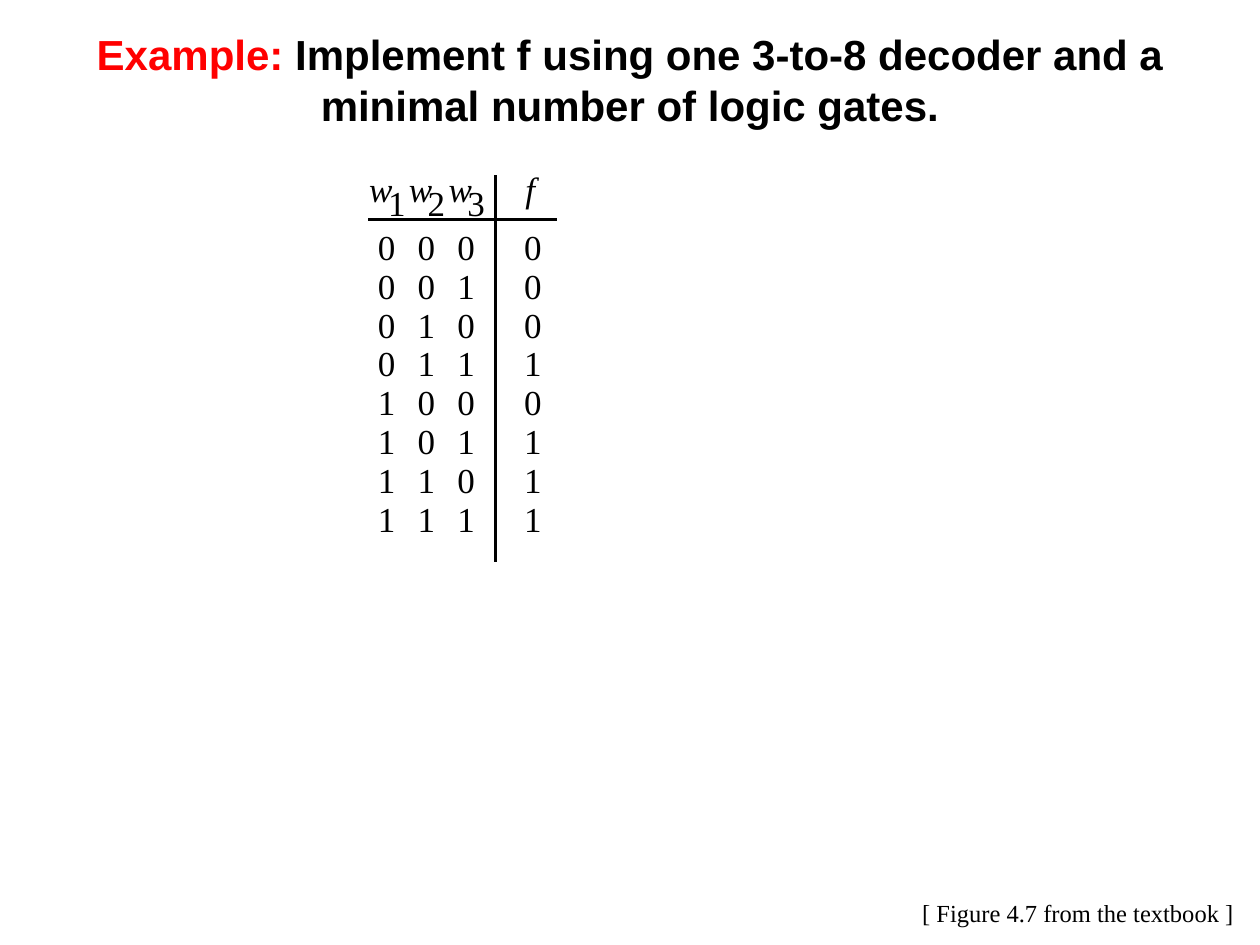
from itertools import product

from lxml import etree
from pptx import Presentation
from pptx.dml.color import RGBColor
from pptx.enum.shapes import MSO_CONNECTOR
from pptx.enum.text import MSO_ANCHOR, MSO_AUTO_SIZE, PP_ALIGN
from pptx.oxml.ns import qn
from pptx.util import Inches, Pt

COLORS = {"text": "000000", "accent": "FF0000"}
TITLE_FONT = "Arial"
BODY_FONT = "Times New Roman"


def format_run(run, font_name, size, color="text", bold=False, italic=False):
    run.font.name = font_name
    run.font.size = Pt(size)
    run.font.bold = bold
    run.font.italic = italic
    run.font.color.rgb = RGBColor.from_string(COLORS[color])


def add_label(slide, text, left, top, width, height, size, inset=0, italic=False):
    shape = slide.shapes.add_textbox(
        Inches(left), Inches(top), Inches(width), Inches(height)
    )
    text_frame = shape.text_frame
    text_frame.word_wrap = False
    text_frame.auto_size = MSO_AUTO_SIZE.SHAPE_TO_FIT_TEXT
    text_frame.margin_left = text_frame.margin_right = Inches(inset)
    text_frame.margin_top = text_frame.margin_bottom = Inches(inset / 2)
    text_frame.text = text
    format_run(text_frame.paragraphs[0].runs[0], BODY_FONT, size, italic=italic)


def add_rule(slide, start_x, start_y, end_x, end_y):
    rule = slide.shapes.add_connector(
        MSO_CONNECTOR.STRAIGHT,
        Inches(start_x), Inches(start_y), Inches(end_x), Inches(end_y),
    )
    rule.line.color.rgb = RGBColor.from_string(COLORS["text"])
    rule.line.width = Pt(1.63)
    etree.SubElement(rule._element.spPr, qn("a:effectLst"))


def add_title(slide, left, top, width, height):
    title = slide.shapes.title
    title.left, title.top = Inches(left), Inches(top)
    title.width, title.height = Inches(width), Inches(height)
    text_frame = title.text_frame
    text_frame.word_wrap = True
    text_frame.auto_size = MSO_AUTO_SIZE.NONE
    text_frame.vertical_anchor = MSO_ANCHOR.MIDDLE
    paragraph = text_frame.paragraphs[0]
    paragraph.alignment = PP_ALIGN.CENTER
    parts = [
        ("Example: ", "accent"),
        ("Implement f using one 3-to-8 decoder and a "
         "minimal number of logic gates.", "text"),
    ]
    for text, color in parts:
        run = paragraph.add_run()
        run.text = text
        format_run(run, TITLE_FONT, 24, color, bold=True)


def add_truth_table(slide, left, top, width, height):
    input_pitch, row_pitch = 0.315, 0.308
    header_top, first_row_top = top - 0.06, top + 0.4
    output_left = left + 1.24
    divider_x, header_rule_y = left + 1.01, top + 0.355
    outputs = "00010111"

    add_rule(slide, left + width, header_rule_y, left, header_rule_y)
    add_rule(slide, divider_x, top + height, divider_x, top)

    for column in range(3):
        name_left = left + 0.01 + column * input_pitch
        add_label(slide, "w", name_left, header_top, 0.19, 0.34, 20, italic=True)
        add_label(slide, str(column + 1), name_left + 0.15, header_top + 0.11,
                  0.14, 0.34, 20)
    add_label(slide, "f", output_left + 0.01, header_top, 0.08, 0.34, 20, italic=True)

    for row, (inputs, output) in enumerate(zip(product("01", repeat=3), outputs)):
        row_top = first_row_top + row * row_pitch
        for column, value in enumerate(inputs):
            add_label(slide, value, left + 0.08 + column * input_pitch, row_top,
                      0.14, 0.34, 20)
        add_label(slide, output, output_left, row_top, 0.14, 0.34, 20)


def add_source_note(slide, left, top, width, height):
    add_label(slide, "[ Figure 4.7 from the textbook ]",
              left, top, width, height, 14, inset=0.1)


def main():
    presentation = Presentation()
    presentation.slide_width = Inches(10)
    presentation.slide_height = Inches(7.5)
    slide = presentation.slides.add_slide(
        presentation.slide_layouts.get_by_name("Title Only")
    )
    add_title(slide, 0, 0.17, 10, 0.92)
    add_truth_table(slide, 2.92, 1.39, 1.5, 3.07)
    add_source_note(slide, 7.22, 7.08, 2.78, 0.34)
    presentation.save("out.pptx")


if __name__ == "__main__":
    main()
